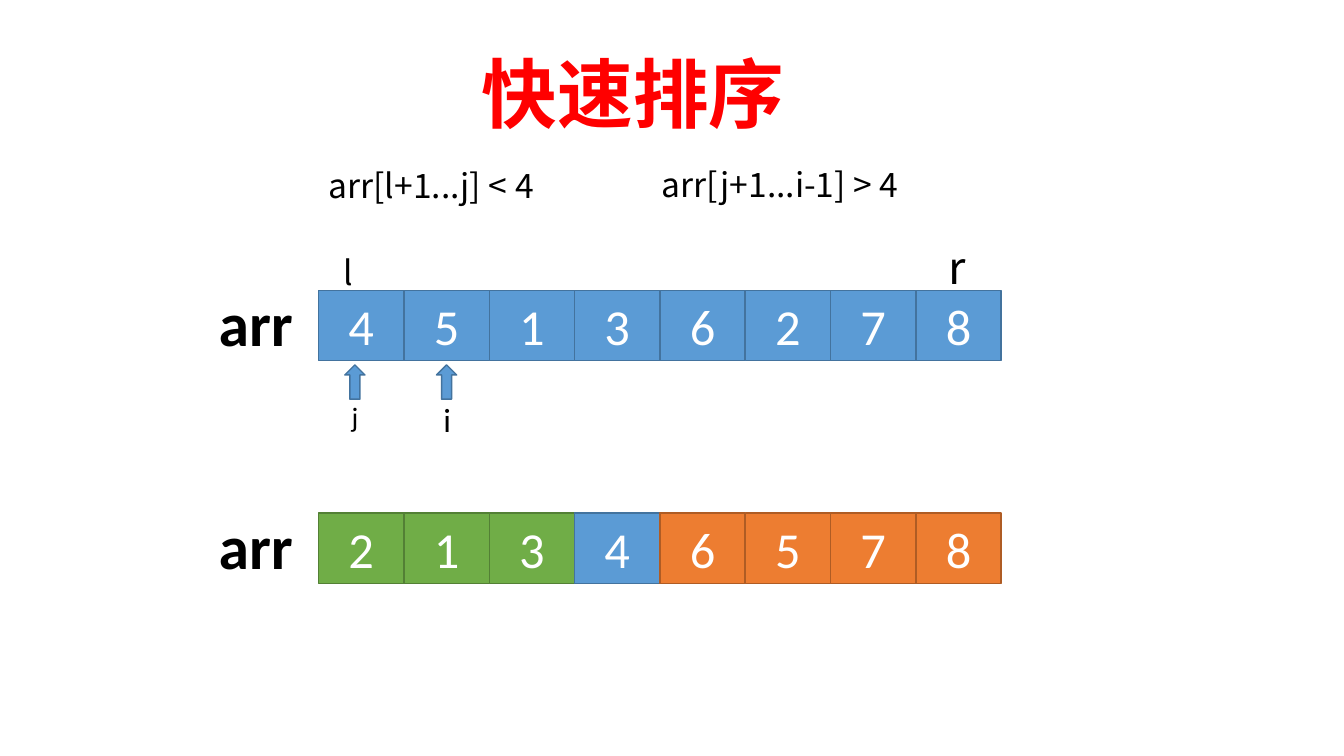
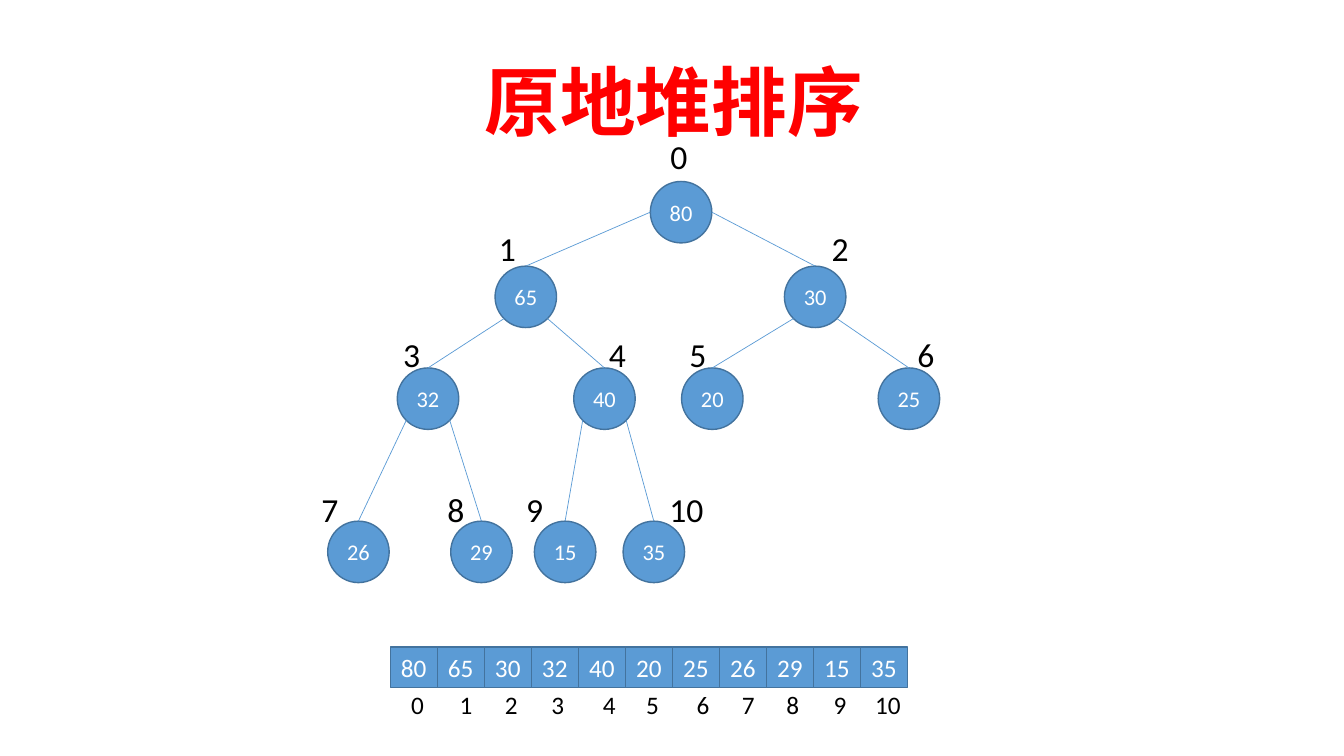
from math import sqrt

from lxml import etree
from pptx import Presentation
from pptx.dml.color import RGBColor
from pptx.enum.shapes import MSO_CONNECTOR, MSO_SHAPE
from pptx.enum.text import MSO_ANCHOR, PP_ALIGN
from pptx.oxml.ns import qn
from pptx.util import Pt

PX = 9144  # 100 px to the inch

RECT = MSO_SHAPE.RECTANGLE
OVAL = MSO_SHAPE.OVAL
ARROW = MSO_SHAPE.UP_ARROW
STRAIGHT = MSO_CONNECTOR.STRAIGHT
MIDDLE = MSO_ANCHOR.MIDDLE
CENTER = PP_ALIGN.CENTER

RED = RGBColor(0xFF, 0x00, 0x00)
BLACK = RGBColor(0x00, 0x00, 0x00)
WHITE = RGBColor(0xFF, 0xFF, 0xFF)
SKY = RGBColor(0x5B, 0x9B, 0xD5)
# Each style is a fill and its outline.
BLUE = (SKY, RGBColor(0x43, 0x73, 0x9E))
GREEN = (RGBColor(0x70, 0xAD, 0x47), RGBColor(0x53, 0x80, 0x35))
ORANGE = (RGBColor(0xED, 0x7D, 0x31), RGBColor(0xAF, 0x5C, 0x24))

LATIN = "Calibri"
HAN = "Noto Sans CJK SC"

HEAP = [80, 65, 30, 32, 40, 20, 25, 26, 29, 15, 35]
NODE = 61
NODE_X = [645, 491, 778, 394, 569, 676, 871, 325, 447, 530, 618]
TAG_X = [655, 485, 815, 390, 594, 674, 900, 309, 434, 512, 654]
INDEX_X = [398, 446, 491, 537, 588, 631, 681, 726, 770, 817, 858]
NODE_Y = [180, 264, 365, 517]  # by tree level
TAG_Y = [130, 221, 326, 480]


def box(*lengths):
    return [round(n * PX) for n in lengths]


def add_run(para, text, size, color, font=LATIN, bold=False):
    run = para.add_run()
    run.text = text
    run.font.size = Pt(size)
    run.font.name = font
    run.font.bold = bold
    run.font.color.rgb = color
    east = etree.SubElement(run.font._element, qn("a:ea"))
    east.set("typeface", HAN)


def label(slide, text, x, y, w, h, size, color=BLACK, font=LATIN, bold=False):
    frame = slide.shapes.add_textbox(*box(x, y, w, h)).text_frame
    frame.word_wrap = True
    add_run(frame.paragraphs[0], text, size, color, font, bold)


def title(slide, text, x, y, w):
    label(slide, text, x, y, w, 101, 54, RED, bold=True)


def solid(slide, kind, x, y, w, h, style=BLUE, text="", size=18):
    shape = slide.shapes.add_shape(kind, *box(x, y, w, h))
    shape.shadow.inherit = False
    fill, line = style
    shape.fill.solid()
    shape.fill.fore_color.rgb = fill
    shape.line.color.rgb = line
    shape.line.width = Pt(1)
    if text:
        frame = shape.text_frame
        frame.margin_left = frame.margin_right = 0
        frame.margin_top = frame.margin_bottom = 0
        frame.vertical_anchor = MIDDLE
        para = frame.paragraphs[0]
        para.alignment = CENTER
        add_run(para, text, size, WHITE)
    return shape


def array(slide, values, styles, x, y, span, h, size):
    """Draw the values as touching cells that share the span evenly."""
    w = span / len(values)
    for i, (value, style) in enumerate(zip(values, styles)):
        solid(slide, RECT, x + i * w, y, w, h, style, str(value), size)


def pointer(slide, text, x, size):
    solid(slide, ARROW, x, 362, 20, 34)
    label(slide, text, x - 3, 391, 61, 50, size)


def edge(slide, x, y, child):
    """Link a point on a parent's rim to the top of its child."""
    line = slide.shapes.add_connector(STRAIGHT, *box(x, y, x, y))
    line.end_connect(child, 0)
    line.line.color.rgb = SKY
    line.line.width = Pt(0.5)
    etree.SubElement(line._element.spPr, qn("a:effectLst"))


def level(i):
    return (i + 1).bit_length() - 1


def rim(i, side):
    """Point where a branch leaves node i; side is -1 for left, 1 for right."""
    half = NODE / 2
    reach = half / sqrt(2) if i else half
    drop = reach if i else 0
    return NODE_X[i] + half + side * reach, NODE_Y[level(i)] + half + drop


def tree(slide):
    nodes = [
        solid(slide, OVAL, x, NODE_Y[level(i)], NODE, NODE, BLUE, str(value), 16)
        for i, (value, x) in enumerate(zip(HEAP, NODE_X))
    ]
    for i, node in enumerate(nodes[1:], 1):
        edge(slide, *rim((i - 1) // 2, -1 if i % 2 else 1), node)
    for i, x in enumerate(TAG_X):
        label(slide, str(i), x, TAG_Y[level(i)], 66, 50, 24)


def quick_sort(slide):
    title(slide, "快速排序", 468, 42, 541)
    rows = [
        (288, [4, 5, 1, 3, 6, 2, 7, 8], [BLUE] * 8),
        (509, [2, 1, 3, 4, 6, 5, 7, 8], [GREEN] * 3 + [BLUE] + [ORANGE] * 4),
    ]
    for y, values, styles in rows:
        array(slide, values, styles, 316, y, 677, 70, 36)
        label(slide, "arr", 207, y - 10, 138, 84, 44, bold=True)
    pointer(slide, "i", 433, 24)
    pointer(slide, "j", 342, 20)
    notes = [
        ("arr[l+1...j] < 4", 316, 159, 289, 24),
        ("arr[j+1...i-1] > 4", 646, 158, 323, 24),
        ("l", 331, 245, 66, 24),
        ("r", 931, 233, 66, 32),
    ]
    for text, x, y, w, size in notes:
        label(slide, text, x, y, w, 50, size, font=HAN)


def heap_sort(slide):
    title(slide, "原地堆排序", 471, 50, 663)
    array(slide, HEAP, [BLUE] * len(HEAP), 387, 642, 513, 40, 18)
    for i, x in enumerate(INDEX_X):
        label(slide, str(i), x, 679, 51, 40, 18)
    tree(slide)


def main():
    deck = Presentation()
    deck.slide_width, deck.slide_height = box(1333, 750)
    for draw in (quick_sort, heap_sort):
        draw(deck.slides.add_slide(deck.slide_layouts[6]))
    deck.save("out.pptx")


if __name__ == "__main__":
    main()
